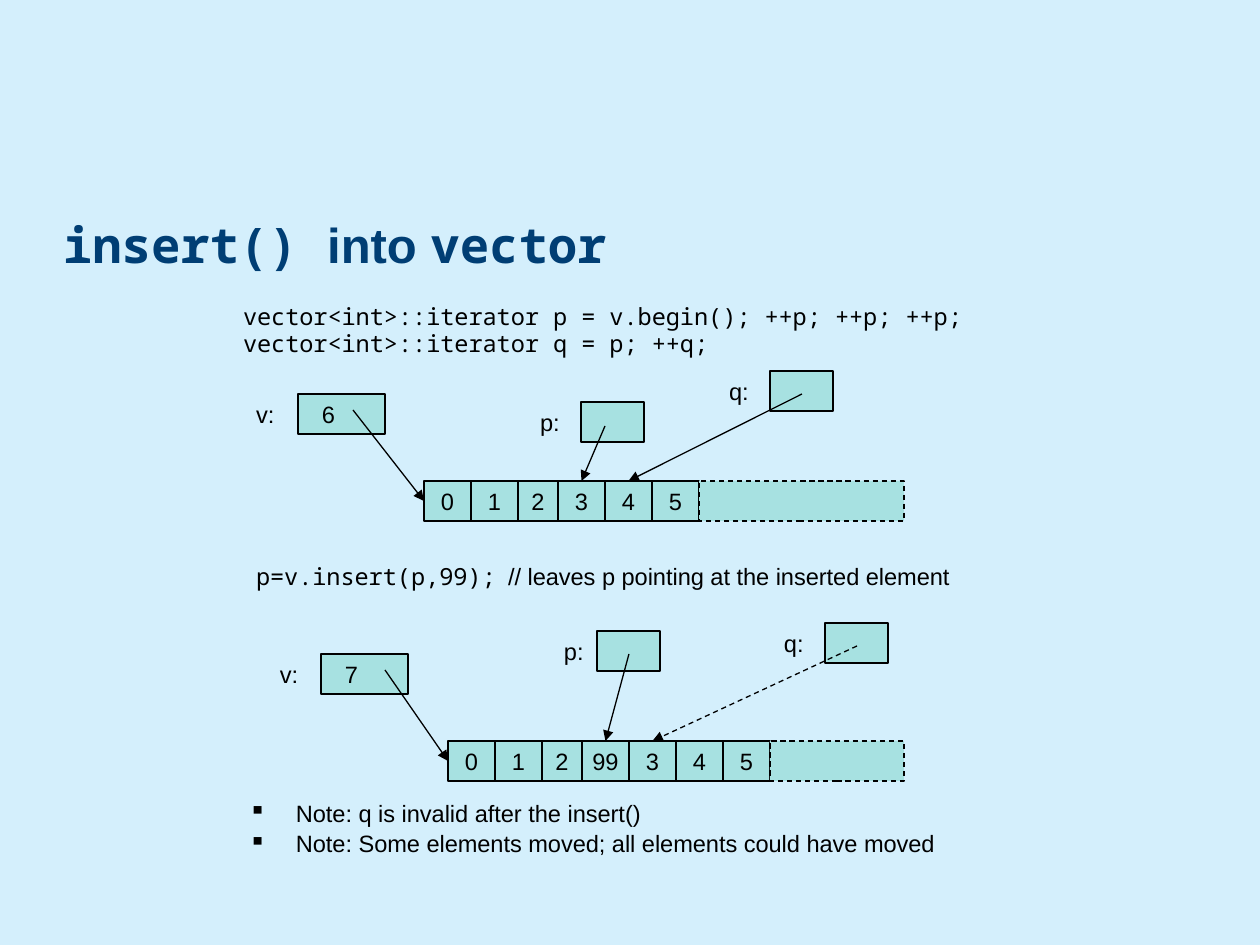
"""Build a slide showing what insert() does to a vector and its iterators."""
import itertools

import lxml.etree
import pptx
import pptx.dml.color
import pptx.enum.dml
import pptx.enum.shapes
import pptx.enum.text
import pptx.oxml.ns
import pptx.util

THEME = {
    "back": "D4EFFC", "title": "003E74", "text": "000000", "box": "A7E1E1",
    "sans": "Arial", "mono": "Noto Sans Mono",
    "title_size": 28, "text_size": 13.5, "line": 0.75,
}
SANS, MONO = THEME["sans"], THEME["mono"]

TITLE = [[("insert() ", MONO), ("into ", SANS), ("vector", MONO)]]
CODE = [
    [("vector<int>::iterator p = v.begin(); ++p; ++p; ++p;", MONO)],
    [("vector<int>::iterator q = p; ++q;", MONO)],
]
CALL = [[("p=v.insert(p,99);", MONO),
         ("\t// leaves p pointing at the inserted element", SANS)]]
NOTES = [
    [("Note: q is invalid after the insert()", SANS)],
    [("Note: Some elements moved; all elements could have moved", SANS)],
]
STATES = [
    {"values": ["0", "1", "2", "3", "4", "5"], "array": (424, 481),
     "v": {"label": (243, 394), "box": (298, 394), "start": (55, 16)},
     "iterators": [
         {"name": "p:", "label": (527, 402), "box": (581, 402),
          "start": (24, 24), "cell": 3, "dashed": False},
         {"name": "q:", "label": (716, 371), "box": (770, 371),
          "start": (32, 23), "cell": 4, "dashed": False}]},
    {"values": ["0", "1", "2", "99", "3", "4", "5"], "array": (448, 741),
     "v": {"label": (267, 654), "box": (321, 654), "start": (64, 16)},
     "iterators": [
         {"name": "p:", "label": (551, 631), "box": (597, 631),
          "start": (32, 23), "cell": 3, "dashed": False},
         {"name": "q:", "label": (771, 623), "box": (825, 623),
          "start": (32, 23), "cell": 4, "dashed": True}]},
]
CELL, NARROW_CELL, NARROW_INDEX, HEIGHT = 47, 40, 2, 40
VECTOR_WIDTH, ITERATOR_WIDTH, CAPACITY_END = 87, 63, 904
COUNT_SHIFT, INDENT, COMMENT_TAB = 26, 47, 318
INSET = (13, 6, 13, 6)
NO_INSET = (0, 0, 0, 0)


def px(n):
    return round(n * 914400 / 126)


def rgb(key):
    return pptx.dml.color.RGBColor.from_string(THEME[key])


def add_element(parent, tag, **attributes):
    element = lxml.etree.SubElement(parent, pptx.oxml.ns.qn(tag))
    for name, value in attributes.items():
        element.set(name, str(value))
    return element


def write(tf, paragraphs, size=THEME["text_size"], color="text", bold=False,
          align="LEFT", anchor="TOP", inset=INSET, spacing=1.0, before=0,
          bullet=None, tab=None):
    tf.word_wrap = True
    tf.auto_size = pptx.enum.text.MSO_AUTO_SIZE.NONE
    tf.vertical_anchor = getattr(pptx.enum.text.MSO_ANCHOR, anchor)
    tf.margin_left, tf.margin_top, tf.margin_right, tf.margin_bottom = map(px, inset)
    for i, runs in enumerate(paragraphs):
        p = tf.add_paragraph() if i else tf.paragraphs[0]
        p.alignment = getattr(pptx.enum.text.PP_ALIGN, align)
        p.line_spacing = spacing
        p.space_before = pptx.util.Pt(before if i else 0)
        props = p._p.get_or_add_pPr()
        indent = px(INDENT) if bullet else 0
        props.set("marL", str(indent))
        props.set("indent", str(-indent))
        if bullet:
            add_element(props, "a:buChar", char=bullet)
        else:
            add_element(props, "a:buNone")
        if tab:
            add_element(add_element(props, "a:tabLst"), "a:tab", pos=px(tab), algn="l")
        for text, font in runs:
            r = p.add_run()
            r.text = text
            r.font.name = font
            r.font.size = pptx.util.Pt(size)
            r.font.bold = bold
            r.font.color.rgb = rgb(color)


def style_line(line, dashed):
    line.color.rgb = rgb("text")
    line.width = pptx.util.Pt(THEME["line"])
    if dashed:
        line.dash_style = pptx.enum.dml.MSO_LINE.DASH


def add_text(s, box, paragraphs, **fmt):
    write(s.shapes.add_textbox(*map(px, box)).text_frame, paragraphs, **fmt)


def add_box(s, x, y, width, text=None, dashed=False, shift=0):
    sp = s.shapes.add_shape(pptx.enum.shapes.MSO_SHAPE.RECTANGLE,
                            *map(px, (x, y, width, HEIGHT)))
    sp.shadow.inherit = False
    sp.fill.solid()
    sp.fill.fore_color.rgb = rgb("box")
    style_line(sp.line, dashed)
    if text:
        write(sp.text_frame, [[(text, SANS)]], align="CENTER", anchor="MIDDLE",
              inset=(0, 0, shift, 0))


def add_arrow(s, box, start, end, dashed=False):
    begin = (box[0] + start[0], box[1] + start[1])
    line = s.shapes.add_connector(pptx.enum.shapes.MSO_CONNECTOR.STRAIGHT,
                                  *map(px, begin + end))
    style_line(line.line, dashed)
    add_element(line.line._get_or_add_ln(), "a:tailEnd", type="triangle")
    add_element(line._element.spPr, "a:effectLst")


def add_label(s, at, text):
    add_text(s, (*at, 55, 42), [[(text, SANS)]])


def add_state(s, state):
    left, top = state["array"]
    values, v = state["values"], state["v"]
    widths = [NARROW_CELL if i == NARROW_INDEX else CELL for i in range(len(values))]
    edges = list(itertools.accumulate(widths, initial=left))
    for value, x, width in zip(values, edges, widths):
        add_box(s, x, top, width, value)
    add_box(s, edges[-1], top, CAPACITY_END - edges[-1], dashed=True)

    add_label(s, v["label"], "v:")
    add_box(s, *v["box"], VECTOR_WIDTH, str(len(values)), shift=COUNT_SHIFT)
    add_arrow(s, v["box"], v["start"], (left, top + HEIGHT / 2))
    for it in state["iterators"]:
        add_label(s, it["label"], it["name"])
        add_box(s, *it["box"], ITERATOR_WIDTH)
        target = (edges[it["cell"]] + widths[it["cell"]] / 2, top)
        add_arrow(s, it["box"], it["start"], target, it["dashed"])


def place(sp, box):
    sp.left, sp.top, sp.width, sp.height = map(px, box)
    return sp.text_frame


def main():
    prs = pptx.Presentation()
    prs.slide_width, prs.slide_height = px(1260), px(945)
    s = prs.slides.add_slide(prs.slide_layouts[1])
    s.background.fill.solid()
    s.background.fill.fore_color.rgb = rgb("back")
    write(place(s.shapes.title, (63, 205, 1134, 71)), TITLE,
          size=THEME["title_size"], color="title", bold=True,
          anchor="MIDDLE", inset=(0, 6, 0, 0))
    write(place(s.placeholders[1], (243, 307, 850, 55)), CODE,
          inset=NO_INSET, spacing=0.8, before=2.7)
    for state in STATES:
        add_state(s, state)
    add_text(s, (243, 559, 788, 55), CALL, spacing=0.9, tab=COMMENT_TAB)
    add_text(s, (236, 796, 834, 95), NOTES, spacing=0.9, before=2.7, bullet="▪")
    prs.save("out.pptx")


if __name__ == "__main__":
    main()
